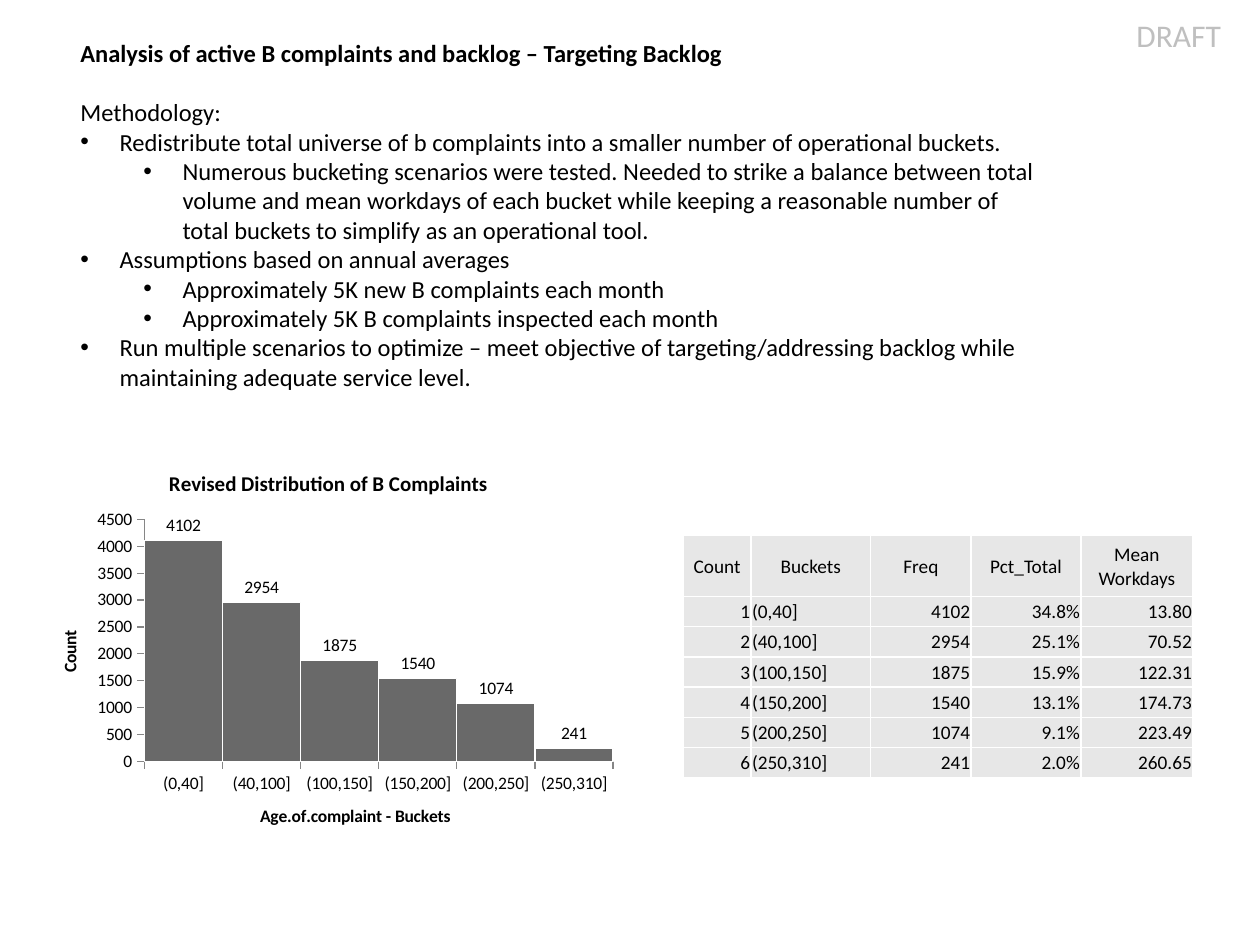
from pptx import Presentation
from pptx.chart.data import CategoryChartData
from pptx.dml.color import RGBColor
from pptx.enum.chart import XL_CHART_TYPE, XL_LABEL_POSITION, XL_TICK_MARK
from pptx.enum.text import MSO_ANCHOR, PP_ALIGN
from pptx.oxml.ns import qn
from pptx.util import Cm, Pt
from lxml.etree import SubElement

COLORS = {"text": "000000", "draft": "BFBFBF", "bar": "595959",
          "axis": "868686", "cell": "E7E7E7", "edge": "FFFFFF"}

BUCKETS = [("(0,40]", 4102, "34.8%", "13.80"),
           ("(40,100]", 2954, "25.1%", "70.52"),
           ("(100,150]", 1875, "15.9%", "122.31"),
           ("(150,200]", 1540, "13.1%", "174.73"),
           ("(200,250]", 1074, "9.1%", "223.49"),
           ("(250,310]", 241, "2.0%", "260.65")]

TITLE = "Analysis of active B complaints and backlog – Targeting Backlog"
METHODOLOGY = [
    (None, "Methodology:"),
    (0, "Redistribute total universe of b complaints into a smaller number of operational buckets."),
    (1, "Numerous bucketing scenarios were tested. Needed to strike a balance between total "
        "volume and mean workdays of each bucket while keeping a reasonable number of total "
        "buckets to simplify as an operational tool."),
    (0, "Assumptions based on annual averages"),
    (1, "Approximately 5K new B complaints each month"),
    (1, "Approximately 5K B complaints inspected each month"),
    (0, "Run multiple scenarios to optimize – meet objective of targeting/addressing backlog "
        "while maintaining adequate service level."),
]


class SlideBuilder:
    """Hold the style and the current slide, and add each kind of element."""

    def __init__(self, slide, font="Calibri"):
        self.slide = slide
        self.font_name = font

    def color(self, name):
        return RGBColor.from_string(COLORS[name])

    def style(self, font, size, color="text", bold=False):
        font.name = self.font_name
        font.size = Pt(size)
        font.bold = bold
        font.color.rgb = self.color(color)

    def text_box(self, place, lines, size, color="text", heading=False):
        box = self.slide.shapes.add_textbox(*map(Cm, place))
        frame = box.text_frame
        frame.word_wrap = True
        frame.text = "\n".join(text for level, text in lines)
        for para, (level, text) in zip(frame.paragraphs, lines):
            self.style(para.runs[0].font, size, color)
            if level is not None:
                self.bullet(para, level)
        if heading:
            frame.paragraphs[0].runs[0].font.bold = True
            frame.paragraphs[0].space_after = Pt(17)

    def bullet(self, para, level):
        para.level = level
        properties = para._p.get_or_add_pPr()
        properties.set("marL", str(Cm(0.79 + 1.27 * level)))
        properties.set("indent", str(Cm(-0.79)))
        SubElement(properties, qn("a:buFont")).set("typeface", "Arial")
        SubElement(properties, qn("a:buChar")).set("char", "•")

    def caption(self, owner, text, size):
        frame = (owner.chart_title if hasattr(owner, "chart_title") else owner.axis_title).text_frame
        frame.text = text
        self.style(frame.paragraphs[0].runs[0].font, size, bold=True)

    def column_chart(self, place, title, axis_titles, categories, values):
        data = CategoryChartData()
        data.categories = categories
        data.add_series("Series 1", values)
        chart = self.slide.shapes.add_chart(
            XL_CHART_TYPE.COLUMN_CLUSTERED, *map(Cm, place), data).chart
        self.style(chart.font, 10)
        chart.has_legend = False
        self.caption(chart, title, 12)
        for axis, text in zip((chart.category_axis, chart.value_axis), axis_titles):
            self.caption(axis, text, 10)
            axis.has_major_gridlines = False
            axis.major_tick_mark = XL_TICK_MARK.OUTSIDE
            axis.minor_tick_mark = XL_TICK_MARK.NONE
            axis.format.line.color.rgb = self.color("axis")
        chart.value_axis.minimum_scale = 0
        chart.value_axis.maximum_scale = 4500
        chart.value_axis.major_unit = 500

        plot = chart.plots[0]
        plot.gap_width = 0
        plot.vary_by_categories = False
        plot.has_data_labels = True
        labels = plot.data_labels
        labels.show_value = True
        labels.position = XL_LABEL_POSITION.OUTSIDE_END
        self.style(labels.font, 10)
        series = plot.series[0]
        series.format.fill.solid()
        series.format.fill.fore_color.rgb = self.color("bar")
        SubElement(series._element.find(".//" + qn("a:srgbClr")), qn("a:alpha")).set("val", "90000")
        series.format.line.color.rgb = self.color("edge")
        series.format.line.width = Pt(0.75)
        self.plot_layout(chart, x=0.19, y=0.17, w=0.79, h=0.6)

    def plot_layout(self, chart, **fractions):
        area = chart._chartSpace.find(".//" + qn("c:plotArea"))
        for old in area.findall(qn("c:layout")):
            area.remove(old)
        layout = SubElement(area, qn("c:layout"))
        area.insert(0, layout)
        manual = SubElement(layout, qn("c:manualLayout"))
        settings = {"layoutTarget": "inner", "xMode": "edge", "yMode": "edge", **fractions}
        for name, value in settings.items():
            SubElement(manual, qn("c:" + name)).set("val", str(value))

    def table(self, left, top, widths, heights, rows):
        table = self.slide.shapes.add_table(
            len(rows), len(widths), Cm(left), Cm(top), Cm(sum(widths)), Cm(sum(heights))).table
        for column, width in zip(table.columns, widths):
            column.width = Cm(width)
        for row, height in zip(table.rows, heights):
            row.height = Cm(height)
        for i, values in enumerate(rows):
            for j, value in enumerate(values):
                body_align = PP_ALIGN.LEFT if j == 1 else PP_ALIGN.RIGHT
                self.cell(table.cell(i, j), str(value), body_align if i else PP_ALIGN.CENTER)

    def cell(self, cell, text, align):
        cell.text_frame.text = text
        cell.vertical_anchor = MSO_ANCHOR.MIDDLE
        cell.margin_left = cell.margin_right = cell.margin_top = Cm(0.02)
        cell.margin_bottom = 0
        para = cell.text_frame.paragraphs[0]
        para.alignment = align
        self.style(para.runs[0].font, 11)
        properties = cell._tc.get_or_add_tcPr()
        for side in ("lnL", "lnR", "lnT", "lnB"):
            line = SubElement(properties, qn("a:" + side), w=str(Pt(1)))
            fill = SubElement(line, qn("a:solidFill"))
            SubElement(fill, qn("a:srgbClr")).set("val", COLORS["edge"])
        cell.fill.solid()
        cell.fill.fore_color.rgb = self.color("cell")


def main():
    deck = Presentation()
    deck.slide_width, deck.slide_height = Cm(25.4), Cm(19.05)
    page = SlideBuilder(deck.slides.add_slide(deck.slide_layouts[6]))
    page.text_box((22.66, 0.2, 2.54, 1.02), [(None, "DRAFT")], 18, "draft")
    page.text_box((1.37, 0.64, 20.02, 8.03), [(None, TITLE)] + METHODOLOGY, 14, heading=True)
    page.column_chart((0.64, 9.09, 11.96, 8.13), "Revised Distribution of B Complaints",
                      ("Age.of.complaint - Buckets", "Count"),
                      [bucket[0] for bucket in BUCKETS], [bucket[1] for bucket in BUCKETS])
    header = ("Count", "Buckets", "Freq", "Pct_Total", "Mean Workdays")
    body = [(number, *bucket) for number, bucket in enumerate(BUCKETS, 1)]
    page.table(13.77, 10.8, (1.37, 2.41, 2.03, 2.21, 2.26),
               [1.22] + [0.61] * len(body), [header] + body)
    deck.save("out.pptx")


if __name__ == "__main__":
    main()
